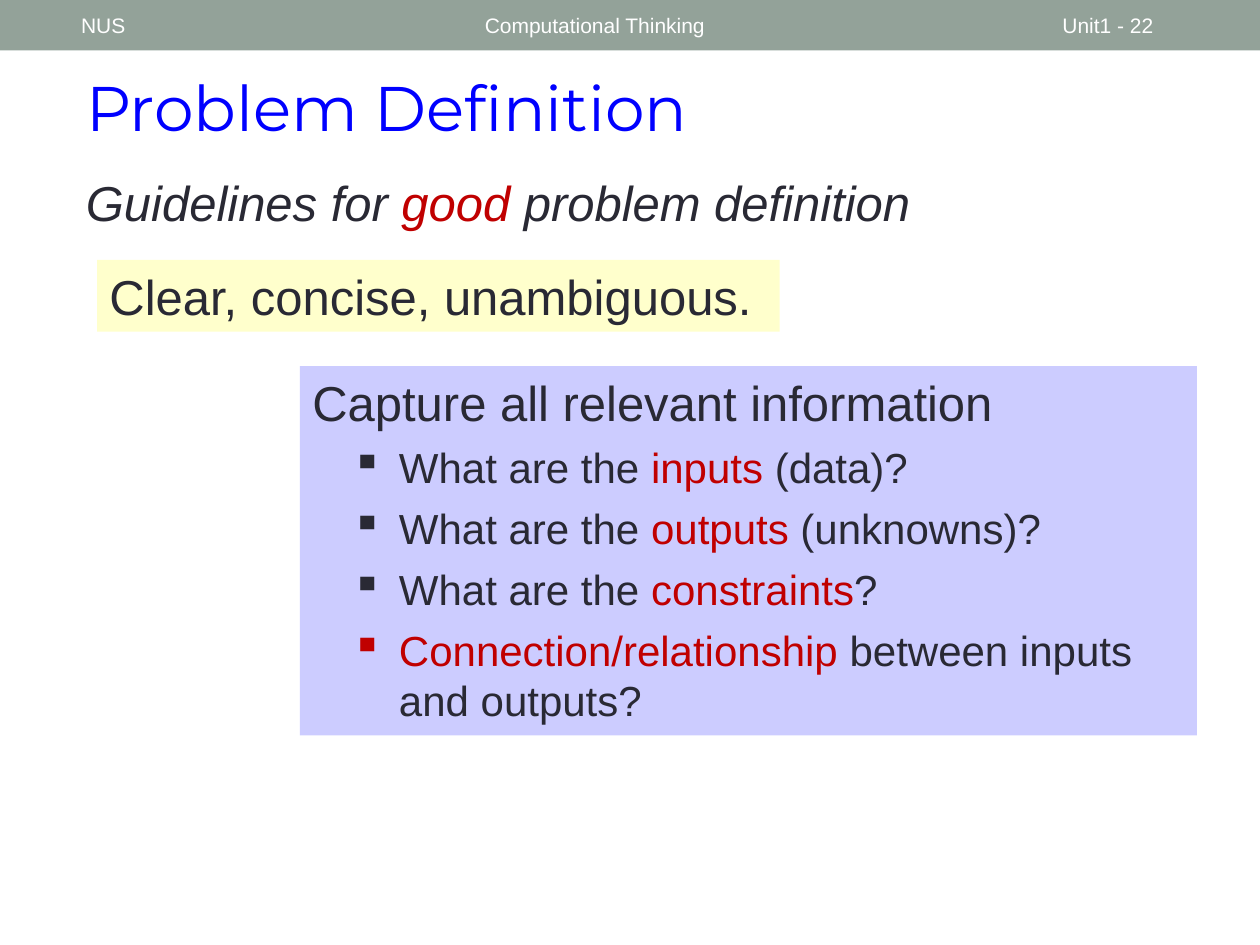
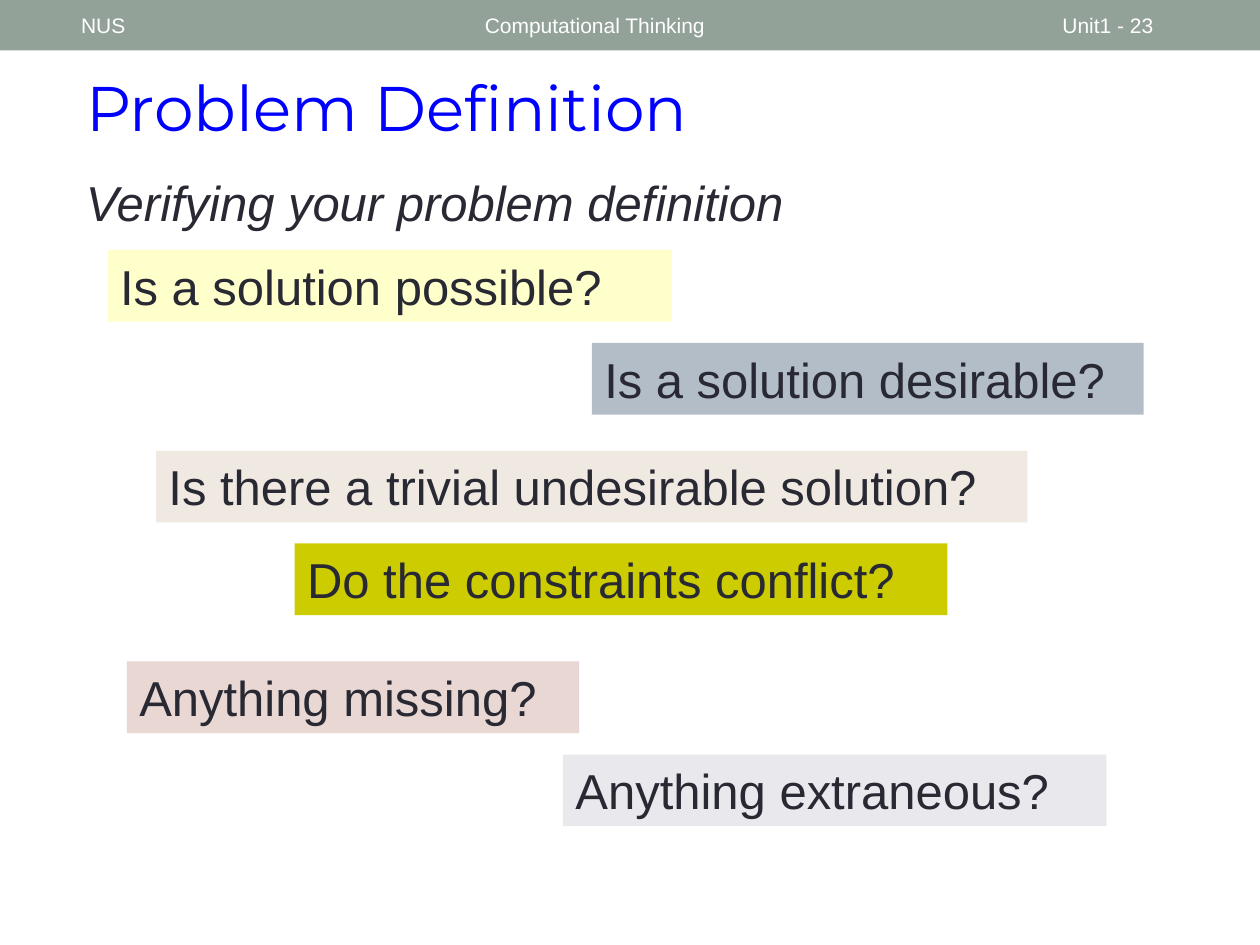
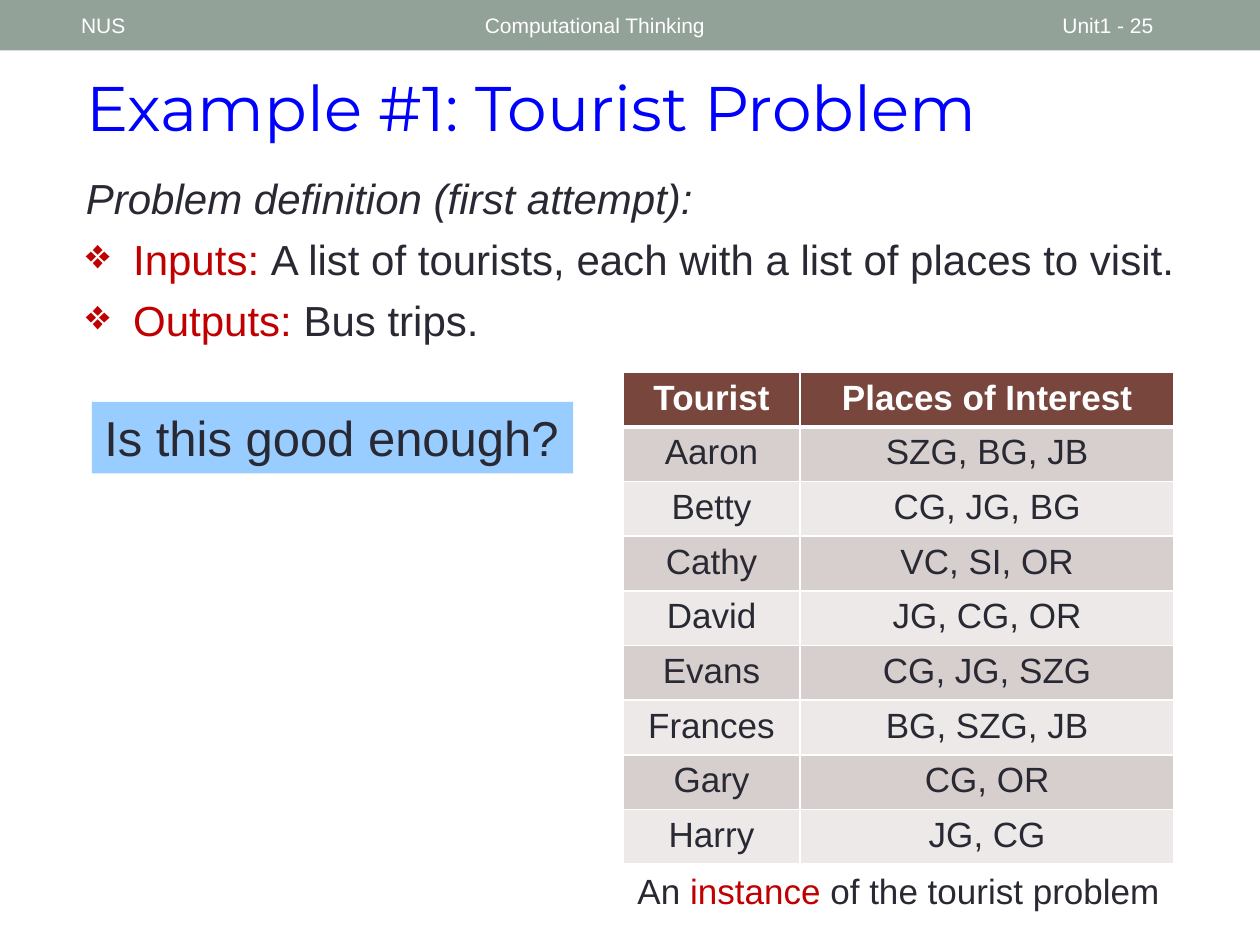
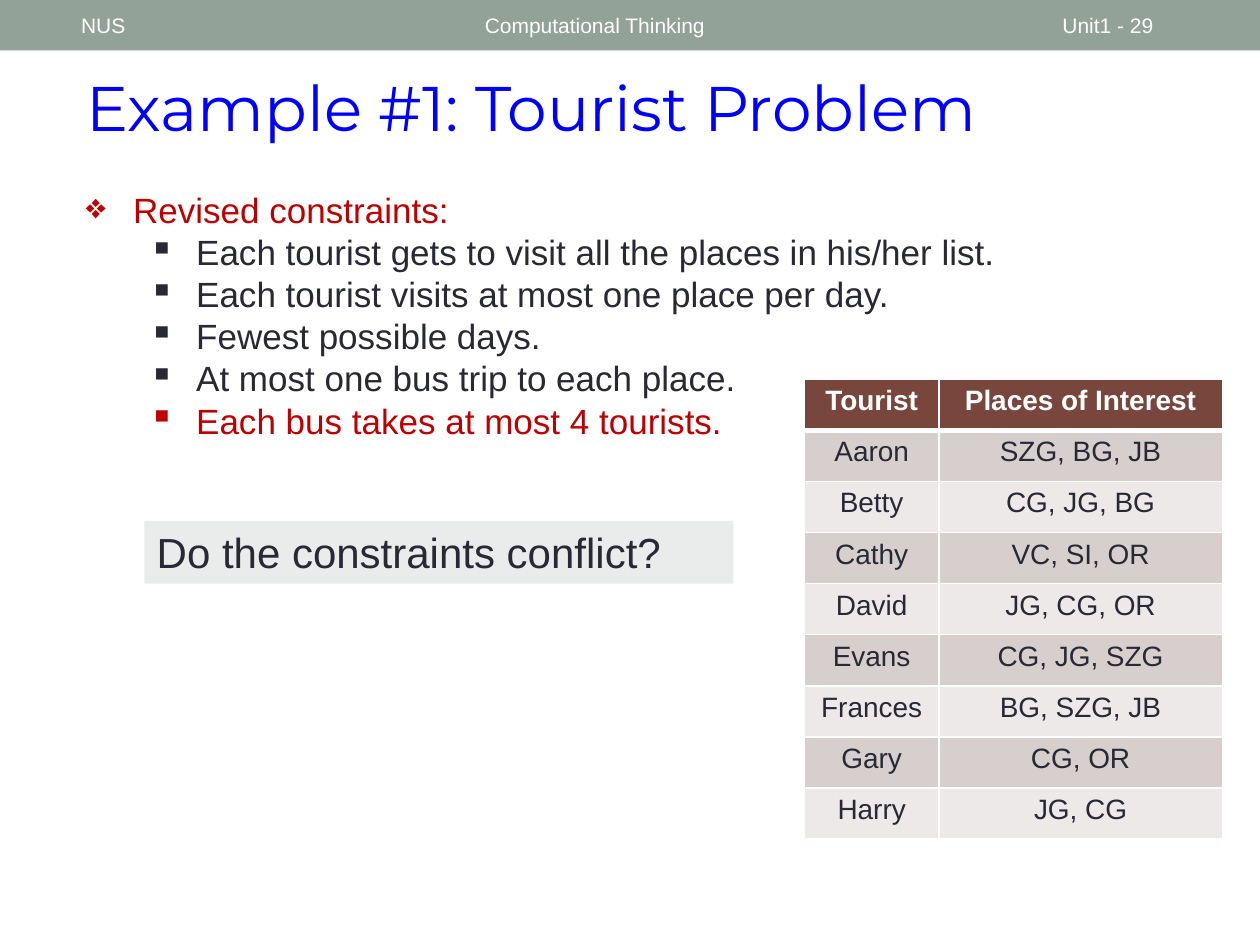
from dataclasses import dataclass

import lxml.etree
import pptx
import pptx.dml.color
import pptx.enum.shapes
import pptx.enum.text
import pptx.oxml.ns
import pptx.util

Pt = pptx.util.Pt
RGB = pptx.dml.color.RGBColor.from_string
qn = pptx.oxml.ns.qn
ALIGN = pptx.enum.text.PP_ALIGN
ANCHOR = pptx.enum.text.MSO_ANCHOR
AUTO_SIZE = pptx.enum.text.MSO_AUTO_SIZE


@dataclass(frozen=True)
class Theme:
    # Fonts and type sizes
    body_font: str = "Arial"
    title_font: str = "Montserrat"
    title: int = 36
    large: int = 28
    medium: int = 24
    small: int = 20
    table_small: int = 16
    header: int = 12
    # Text colours
    ink: str = "292934"
    accent: str = "C00000"
    title_blue: str = "0000FF"
    white: str = "FFFFFF"
    # Fills
    band: str = "93A299"
    yellow: str = "FFFFCC"
    lavender: str = "CCCCFF"
    slate: str = "B3BDC8"
    sand: str = "EFE9E1"
    olive: str = "CCCC00"
    rose: str = "E9D7D3"
    mist: str = "E8E8ED"
    sky: str = "99CCFF"
    pale_green: str = "E9ECEB"
    table_head: str = "79463D"
    row_dark: str = "D7CFCE"
    row_light: str = "ECE9E8"


T = Theme()
HANG = 27  # hanging indent of every bullet


def add_box(s, left, top, width, height, fill=None):
    """Add a text box, or a filled rectangle, and return its text frame."""
    place = Pt(left), Pt(top), Pt(width), Pt(height)
    if fill:
        sp = s.shapes.add_shape(pptx.enum.shapes.MSO_SHAPE.RECTANGLE, *place)
        sp.shadow.inherit = False
        sp.fill.solid()
        sp.fill.fore_color.rgb = RGB(fill)
        sp.line.fill.background()
    else:
        sp = s.shapes.add_textbox(*place)
    tf = sp.text_frame
    tf.word_wrap = True
    tf.auto_size = AUTO_SIZE.SHAPE_TO_FIT_TEXT
    tf.vertical_anchor = ANCHOR.TOP
    return tf


def add_para(tf, text, size, color=T.ink, font=T.body_font, italic=False, bold=False,
             bullet=None, indent=0, level=0, after=0, align=ALIGN.LEFT):
    """Write a paragraph; pieces between asterisks take the accent colour."""
    p = tf.paragraphs[0]
    if p.runs:
        p = tf.add_paragraph()
    if bullet:
        pPr = p._p.get_or_add_pPr()
        pPr.set("marL", str(Pt(indent)))
        pPr.set("indent", str(-Pt(HANG)))
        lxml.etree.SubElement(pPr, qn("a:buChar")).set("char", bullet)
    p.level = level
    p.alignment = align
    p.space_after = Pt(after)
    for i, piece in enumerate(text.split("*")):
        if piece:
            r = p.add_run()
            r.text = piece
            r.font.name = font
            r.font.size = Pt(size)
            r.font.italic = italic
            r.font.bold = bold
            r.font.color.rgb = RGB(T.accent if i % 2 else color)


prs = pptx.Presentation()
prs.slide_width, prs.slide_height = Pt(720), Pt(540)
layout = prs.slide_layouts[5]

# Slides with header texts and titles
slides = []
for number, title in [
    (22, "Problem Definition"),
    (23, "Problem Definition"),
    (25, "Example #1: Tourist Problem"),
    (29, "Example #1: Tourist Problem"),
]:
    s = prs.slides.add_slide(layout)
    slides.append(s)
    for left, width, text in [
        (270, 324, "Computational Thinking"),
        (600, 84, f"Unit1 - {number}"),
        (39.3, 225, "NUS"),
    ]:
        tf = add_box(s, left, 1.5, width, 26)
        tf.auto_size = AUTO_SIZE.NONE
        tf.vertical_anchor = ANCHOR.MIDDLE
        add_para(tf, text, T.header, T.white)

    sp = s.shapes.title
    sp.left, sp.top, sp.width, sp.height = Pt(42), Pt(35.5), Pt(611), Pt(51)
    tf = sp.text_frame
    tf.vertical_anchor = ANCHOR.TOP
    tf.auto_size = AUTO_SIZE.SHAPE_TO_FIT_TEXT
    add_para(tf, title, T.title, T.title_blue, T.title_font)

guidelines, verifying, first_attempt, revised = slides

# Header band, moved to the layout so that all slides share it
tf = add_box(guidelines, 0, 0, 720, 28.8, T.band)
tf.auto_size = AUTO_SIZE.NONE
band = guidelines.shapes[-1]
layout.shapes.element.insert(2, band.element)

# Subtitles of the two definition slides
for s, text in [
    (guidelines, "Guidelines for *good* problem definition"),
    (verifying, "Verifying your problem definition"),
]:
    add_para(add_box(s, 42, 95, 552, 41), text, T.large, italic=True)

# One-line callouts
for s, left, top, width, fill, text in [
    (guidelines, 55.5, 148.5, 390, T.yellow, "Clear, concise, unambiguous."),
    (verifying, 61.5, 142.8, 322.5, T.yellow, "Is a solution possible?"),
    (verifying, 338.2, 196, 315.3, T.slate, "Is a solution desirable?"),
    (verifying, 89.2, 257.6, 498, T.sand, "Is there a trivial undesirable solution?"),
    (verifying, 168.4, 310.6, 373, T.olive, "Do the constraints conflict?"),
    (verifying, 72.5, 378, 258.5, T.rose, "Anything missing?"),
    (verifying, 321.8, 431.2, 310.5, T.mist, "Anything extraneous?"),
    (first_attempt, 52.5, 229.6, 275, T.sky, "Is this good enough?"),
]:
    add_para(add_box(s, left, top, width, 41, fill), text, T.large)

# Guidelines: information to capture
tf = add_box(guidelines, 171.4, 209.2, 512.6, 211, T.lavender)
add_para(tf, "Capture all relevant information", T.large, after=6)
for text in [
    "What are the *inputs* (data)?",
    "What are the *outputs* (unknowns)?",
    "What are the *constraints*?",
    "*Connection/relationship *between inputs and outputs?",
]:
    add_para(tf, text, T.medium, bullet="▪", indent=49.5, after=6)

# First attempt: problem definition
tf = add_box(first_attempt, 42, 95, 642, 106.5)
add_para(tf, "Problem definition (first attempt):", T.medium, italic=True, after=6)
for text in [
    "*Inputs: *A list of tourists, each with a list of places to visit.",
    "*Outputs: *Bus trips.",
]:
    add_para(tf, text, T.medium, bullet="❖", indent=HANG, after=6)

# Revised: constraints and question
tf = add_box(revised, 42, 104.4, 642, 152.6)
add_para(tf, "*Revised constraints:*", T.small, bullet="❖", indent=HANG)
for text in [
    "Each tourist gets to visit all the places in his/her list.",
    "Each tourist visits at most one place per day.",
    "Fewest possible days.",
    "At most one bus trip to each place.",
    "*Each bus takes at most 4 tourists.*",
]:
    add_para(tf, text, T.small, bullet="▪", indent=63, level=1)
tf = add_box(revised, 82.5, 297.6, 336.7, 36, T.pale_green)
add_para(tf, "Do the constraints conflict?", T.medium)

# Tourist tables
tourists = [
    ("Tourist", "Places of Interest"),
    ("Aaron", "SZG, BG, JB"),
    ("Betty", "CG, JG, BG"),
    ("Cathy", "VC, SI, OR"),
    ("David", "JG, CG, OR"),
    ("Evans", "CG, JG, SZG"),
    ("Frances", "BG, SZG, JB"),
    ("Gary", "CG, OR"),
    ("Harry", "JG, CG"),
]
for s, left, top, col_widths, row_height, size in [
    (first_attempt, 356, 212.7, (101.2, 213.8), 31.2, T.small),
    (revised, 459.7, 216.7, (76.8, 162), 29.2, T.table_small),
]:
    table = s.shapes.add_table(
        len(tourists), len(col_widths), Pt(left), Pt(top),
        Pt(sum(col_widths)), Pt(row_height * len(tourists))).table
    for column, width in zip(table.columns, col_widths):
        column.width = Pt(width)
    for i, values in enumerate(tourists):
        table.rows[i].height = Pt(row_height)
        head = i == 0
        fill = T.table_head if head else (T.row_dark if i % 2 else T.row_light)
        for j, text in enumerate(values):
            cell = table.cell(i, j)
            cell.fill.solid()
            cell.fill.fore_color.rgb = RGB(fill)
            add_para(cell.text_frame, text, size, T.white if head else T.ink,
                     bold=head, align=ALIGN.CENTER)
            # White borders, thick below the heading row
            tcPr = cell._tc.get_or_add_tcPr()
            for k, side in enumerate("LRTB"):
                thick = (side == "B" and i == 0) or (side == "T" and i == 1)
                ln = lxml.etree.Element(qn(f"a:ln{side}"), w=str(Pt(3 if thick else 1)))
                solid = lxml.etree.SubElement(ln, qn("a:solidFill"))
                lxml.etree.SubElement(solid, qn("a:srgbClr"), val=T.white)
                tcPr.insert(k, ln)

# Caption below the first table
tf = add_box(first_attempt, 356, 493.5, 315, 31.5)
add_para(tf, "An *instance* of the tourist problem", T.small, align=ALIGN.CENTER)

prs.save("out.pptx")
